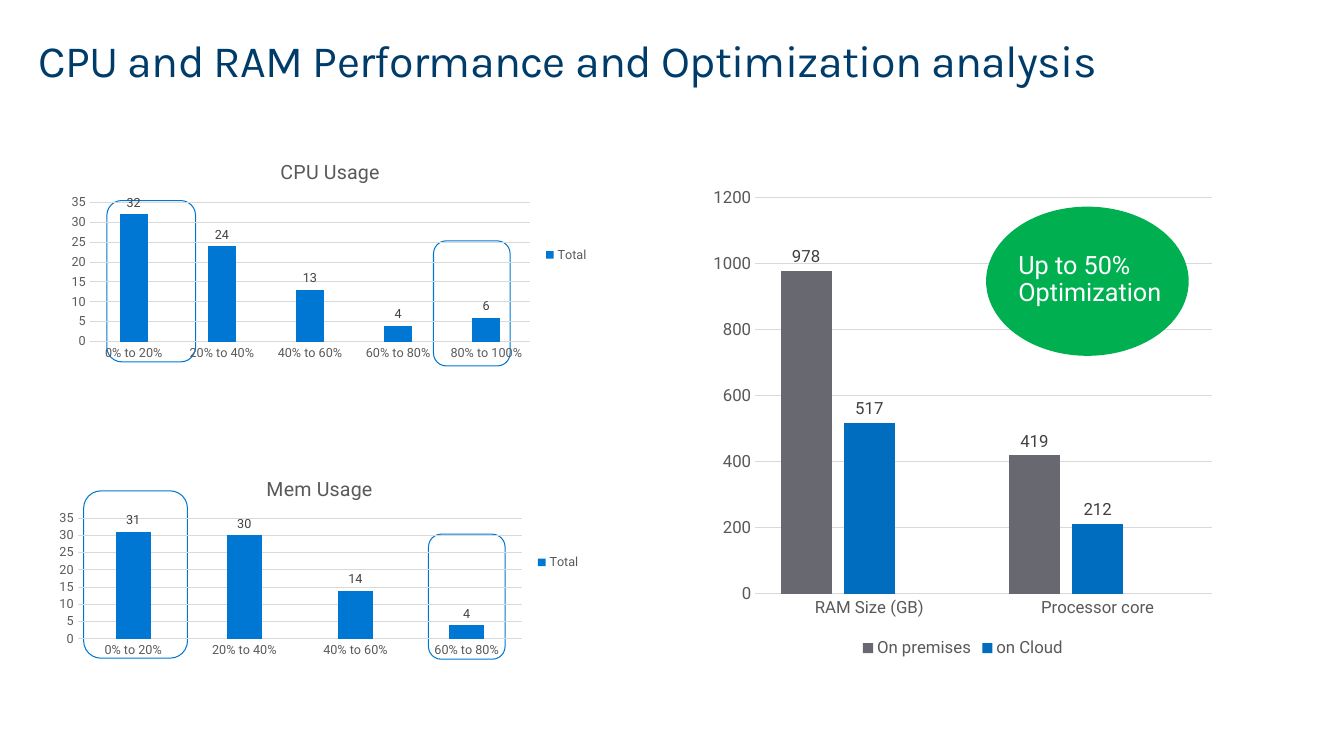
from lxml import etree
from pptx import Presentation
from pptx.chart.data import CategoryChartData
from pptx.dml.color import RGBColor
from pptx.enum.chart import XL_CHART_TYPE, XL_LABEL_POSITION, XL_LEGEND_POSITION, XL_TICK_MARK
from pptx.enum.shapes import MSO_SHAPE
from pptx.enum.text import MSO_ANCHOR, MSO_AUTO_SIZE, PP_ALIGN
from pptx.oxml import parse_xml
from pptx.oxml.ns import nsdecls, qn
from pptx.util import Inches, Pt

COLUMN = XL_CHART_TYPE.COLUMN_CLUSTERED
OUTSIDE = XL_LABEL_POSITION.OUTSIDE_END
RIGHT, BOTTOM = XL_LEGEND_POSITION.RIGHT, XL_LEGEND_POSITION.BOTTOM
NO_TICK = XL_TICK_MARK.NONE
ROUND, OVAL = MSO_SHAPE.ROUNDED_RECTANGLE, MSO_SHAPE.OVAL

NAVY = RGBColor(0x00, 0x3C, 0x6A)
BLUE = RGBColor(0x00, 0x78, 0xD3)
DEEP = RGBColor(0x00, 0x6D, 0xBF)
SLATE = RGBColor(0x68, 0x68, 0x71)
PALE = RGBColor(0xD5, 0xD5, 0xD5)
RULE = RGBColor(0xD9, 0xD9, 0xD9)
GRAY = RGBColor(0x59, 0x59, 0x59)
DARK = RGBColor(0x40, 0x40, 0x40)
GREEN = RGBColor(0x00, 0xB0, 0x50)
WHITE = RGBColor(0xFF, 0xFF, 0xFF)


def style(font, size, color, name="Roboto"):
    font.size, font.name, font.bold = Pt(size), name, False
    font.color.rgb = color


def columns(box, plot, cats, series, size, top, step, gap, lap, side, title=None):
    """Add a column chart; box and plot are left, top, width, height in inches."""
    data = CategoryChartData()
    data.categories = cats
    for name, vals, color in series:
        data.add_series(name, vals)
    chart = slide.shapes.add_chart(COLUMN, *map(Inches, box), data).chart
    style(chart.font, size, GRAY)

    # Title and legend
    chart.has_title = title is not None
    if title:
        chart.chart_title.include_in_layout = False
        frame = chart.chart_title.text_frame
        frame.text = title
        style(frame.paragraphs[0].font, 14, GRAY)
    chart.has_legend = True
    chart.legend.position = side
    chart.legend.include_in_layout = False
    style(chart.legend.font, size, GRAY)

    # Axes
    for axis in (chart.category_axis, chart.value_axis):
        axis.major_tick_mark = axis.minor_tick_mark = NO_TICK
        style(axis.tick_labels.font, size, GRAY)
    line = chart.category_axis.format.line
    line.color.rgb, line.width = RULE, Pt(0.75)
    axis = chart.value_axis
    axis.minimum_scale, axis.maximum_scale, axis.major_unit = 0, top, step
    axis.format.line.fill.background()
    grid = axis.major_gridlines.format.line
    grid.color.rgb, grid.width = RULE, Pt(0.75)

    # Columns and their labels
    bars = chart.plots[0]
    bars.vary_by_categories = False
    bars.gap_width, bars.overlap = gap, lap
    for item, (name, vals, color) in zip(bars.series, series):
        item.format.fill.solid()
        item.format.fill.fore_color.rgb = color
        labels = item.data_labels
        labels.show_value, labels.position = True, OUTSIDE
        style(labels.font, size, DARK)

    # Clear background and fixed plot area
    body = chart.element.find(qn("c:chart"))
    clear = f'<c:spPr {nsdecls("c", "a")}><a:noFill/><a:ln><a:noFill/></a:ln></c:spPr>'
    body.addnext(parse_xml(clear))
    area = body.find(qn("c:plotArea"))
    for old in area.findall(qn("c:layout")):
        area.remove(old)
    x, y = (plot[0] - box[0]) / box[2], (plot[1] - box[1]) / box[3]
    w, h = plot[2] / box[2], plot[3] / box[3]
    area.insert(0, parse_xml(
        f'<c:layout {nsdecls("c")}><c:manualLayout><c:layoutTarget val="inner"/>'
        '<c:xMode val="edge"/><c:yMode val="edge"/>'
        f'<c:x val="{x:.4f}"/><c:y val="{y:.4f}"/><c:w val="{w:.4f}"/><c:h val="{h:.4f}"/>'
        '</c:manualLayout></c:layout>'))
    area.append(parse_xml(clear))
    return chart


deck = Presentation()
deck.slide_width, deck.slide_height = Inches(13.33), Inches(7.5)
slide = deck.slides.add_slide(deck.slide_layouts[5])

# Title
head = slide.shapes.title
head.left, head.top, head.width, head.height = map(Inches, (0.38, 0.28, 12.36, 0.44))
frame = head.text_frame
frame.text = "CPU and RAM Performance and Optimization analysis"
frame.auto_size, frame.vertical_anchor = MSO_AUTO_SIZE.NONE, MSO_ANCHOR.TOP
frame.margin_left, frame.margin_right = 0, Inches(0.16)
frame.margin_top = frame.margin_bottom = Inches(0.1)
para = frame.paragraphs[0]
para.alignment, para.line_spacing = PP_ALIGN.LEFT, 0.9
style(para.font, 32, NAVY, "Karla")
para.runs[0].font._element.set("spc", "-50")

# Comparison chart; the empty third series keeps the column spacing
chart = columns(
    (6.97, 1.76, 5.16, 4.81), (7.49, 1.96, 4.53, 3.93),
    ["RAM Size (GB)", "Processor core"],
    [("On premises", (978, 419), SLATE),
     ("on Cloud", (517, 212), DEEP),
     ("Series 3", (None, None), PALE)],
    12, 1200, 200, 100, -24, BOTTOM)
place = chart.legend._element.find(qn("c:legendPos"))
entry = etree.Element(qn("c:legendEntry"))
etree.SubElement(entry, qn("c:idx")).set("val", "2")
etree.SubElement(entry, qn("c:delete")).set("val", "1")
place.addnext(entry)

# Outlines around the lowest and highest usage bands
for box in ((4.3, 2.39, 0.76, 1.24), (0.83, 4.87, 1.03, 1.66),
            (1.06, 1.99, 0.88, 1.6), (4.25, 5.3, 0.76, 1.24)):
    mark = slide.shapes.add_shape(ROUND, *map(Inches, box))
    mark.shadow.inherit = False
    mark.fill.background()
    mark.line.color.rgb, mark.line.width = BLUE, Pt(0.75)

# Usage charts
bands = ["0% to 20%", "20% to 40%", "40% to 60%", "60% to 80%", "80% to 100%"]
for title, box, plot, vals in (
        ("CPU Usage", (0.61, 1.44, 5.33, 2.18), (0.89, 2.01, 4.37, 1.38), (32, 24, 13, 4, 6)),
        ("Mem Usage", (0.48, 4.59, 5.38, 1.98), (0.77, 5.14, 4.41, 1.2), (31, 30, 14, 4))):
    columns(box, plot, bands[:len(vals)], [("Total", vals, BLUE)],
            9, 35, 5, 219, -27, RIGHT, title)

# Green callout
oval = slide.shapes.add_shape(OVAL, *map(Inches, (9.78, 2.05, 2.01, 1.48)))
oval.shadow.inherit = False
oval.fill.solid()
oval.fill.fore_color.rgb = GREEN
oval.line.fill.background()
note = slide.shapes.add_textbox(*map(Inches, (9.9, 2.35, 2.01, 0.87)))
frame = note.text_frame
frame.word_wrap = True
frame.margin_left = frame.margin_right = Inches(0.2)
frame.margin_top = frame.margin_bottom = Inches(0.16)
para = frame.paragraphs[0]
para.text = "Up to 50% Optimization"
para.line_spacing, para.space_after = 0.9, Pt(6)
style(para.font, 18, WHITE)

deck.save("out.pptx")
